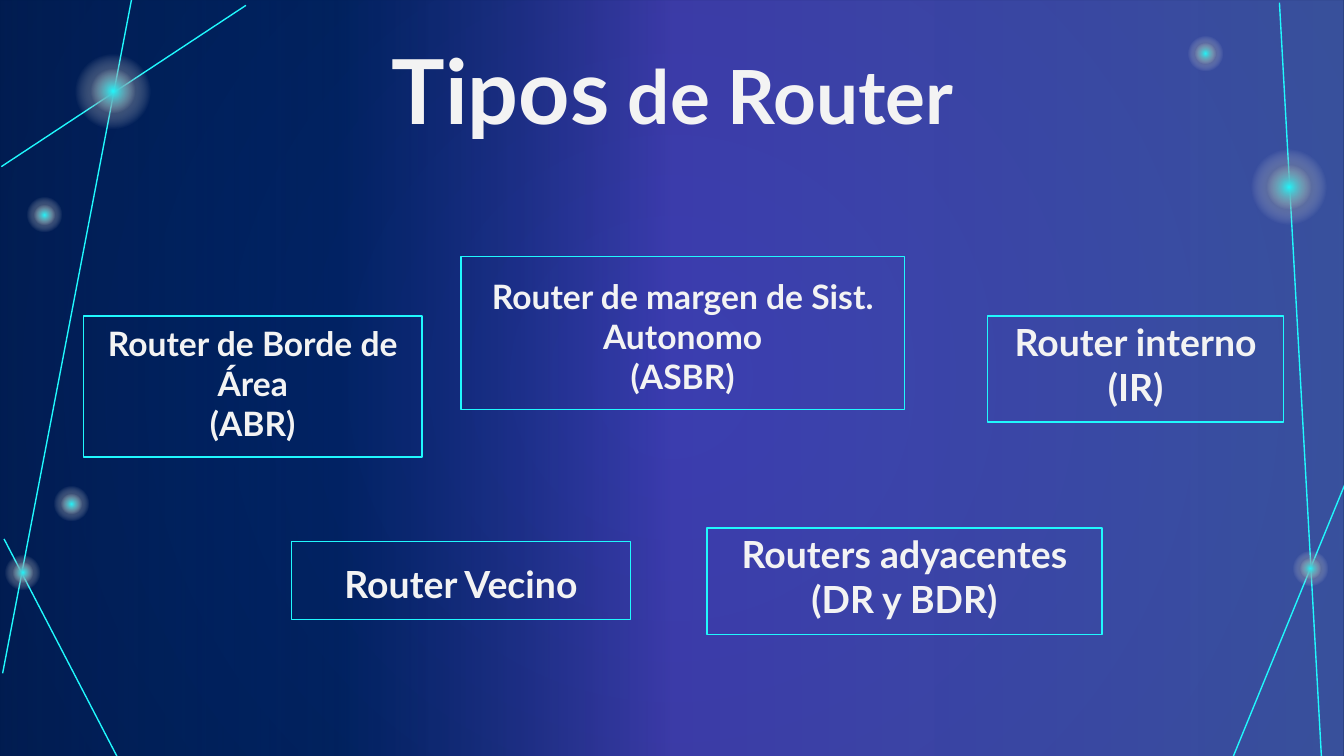
from dataclasses import dataclass

from lxml import etree
from pptx import Presentation
from pptx.dml.color import RGBColor
from pptx.enum.shapes import MSO_CONNECTOR, MSO_SHAPE
from pptx.enum.text import MSO_ANCHOR, PP_ALIGN
from pptx.oxml import parse_xml
from pptx.oxml.ns import qn
from pptx.util import Inches, Pt

RECTANGLE, OVAL = MSO_SHAPE.RECTANGLE, MSO_SHAPE.OVAL
STRAIGHT = MSO_CONNECTOR.STRAIGHT
TOP, BOTTOM = MSO_ANCHOR.TOP, MSO_ANCHOR.BOTTOM
CENTER = PP_ALIGN.CENTER
DRAWING_NS = "http://schemas.openxmlformats.org/drawingml/2006/main"


@dataclass(frozen=True)
class Theme:
    font: str = "Lato"
    light: str = "F3F3F3"
    cyan: str = "20F8FD"
    navy: str = "012060"
    night: str = "00183A"
    blue: str = "022E88"
    violet: str = "7659FF"
    periwinkle: str = "748BFF"
    title_size: int = 48
    subtitle_size: int = 40
    large_size: int = 20
    small_size: int = 18
    line_width: float = 0.75


theme = Theme()


def set_gradient(fill, properties, stops, radial=False):
    """Replace a fill by stops of (position %, colour, opacity %)."""
    fill.solid()
    stop_xml = "".join(
        f'<a:gs pos="{position * 1000}"><a:srgbClr val="{color}">'
        f'<a:alpha val="{opacity * 1000}"/></a:srgbClr></a:gs>'
        for position, color, opacity in stops
    )
    direction = (
        '<a:path path="circle"><a:fillToRect l="50000" t="50000" r="50000" b="50000"/></a:path>'
        if radial
        else '<a:lin ang="0" scaled="0"/>'
    )
    gradient = parse_xml(
        f'<a:gradFill xmlns:a="{DRAWING_NS}" rotWithShape="1">'
        f"<a:gsLst>{stop_xml}</a:gsLst>{direction}</a:gradFill>"
    )
    properties.replace(properties.find(qn("a:solidFill")), gradient)


def write_text(shape, runs, anchor):
    """Fill a shape with centred runs of (text, size); a newline is a line break."""
    frame = shape.text_frame
    frame.word_wrap = True
    frame.vertical_anchor = anchor
    frame.margin_left = frame.margin_right = Inches(0.1)
    frame.margin_top = frame.margin_bottom = Inches(0.1)
    paragraph = frame.paragraphs[0]
    paragraph.alignment = CENTER
    for text, size in runs:
        for index, line in enumerate(text.split("\n")):
            if index:
                paragraph.add_line_break()
            run = paragraph.add_run()
            run.text = line
            run.font.name = theme.font
            run.font.size = Pt(size)
            run.font.bold = True
            run.font.color.rgb = RGBColor.from_string(theme.light)


# A 16:9 slide
presentation = Presentation()
presentation.slide_width = Inches(10)
presentation.slide_height = Inches(10 * 9 / 16)
slide = presentation.slides.add_slide(presentation.slide_layouts[6])
shapes = slide.shapes

# Background and colour wash
background_fill = slide.background.fill
background_fill.solid()
set_gradient(
    background_fill,
    slide.element.find(".//" + qn("p:bgPr")),
    [(0, theme.navy, 100), (100, theme.night, 100)],
    radial=True,
)
wash = shapes.add_shape(
    RECTANGLE, 0, 0, presentation.slide_width, presentation.slide_height
)
wash.shadow.inherit = False
wash.line.fill.background()
set_gradient(
    wash.fill,
    wash.element.spPr,
    [
        (0, theme.navy, 60),
        (25, theme.blue, 35),
        (50, theme.violet, 50),
        (100, theme.periwinkle, 49),
    ],
)

# Network lines
network_lines = [
    (10.07, 3.45, 9.11, 5.79),
    (9.52, 0.02, 9.84, 5.77),
    (1.83, 0.04, 0.01, 1.24),
    (0.96, 5.8, 0.03, 4.01),
    (0.98, -0.01, 0.02, 5.01),
]
for ends in network_lines:
    connector = shapes.add_connector(STRAIGHT, *map(Inches, ends))
    connector.line.color.rgb = RGBColor.from_string(theme.cyan)
    connector.line.width = Pt(theme.line_width)
    etree.SubElement(connector.element.spPr, qn("a:effectLst"))

# Glowing nodes: a halo with a bright core on the same centre
large_node, small_node = (0.79, 0.47), (0.37, 0.22)
nodes = [
    (9.59, 1.39, large_node),
    (0.84, 0.68, large_node),
    (9.75, 4.23, small_node),
    (0.17, 4.26, small_node),
    (0.53, 3.75, small_node),
    (0.33, 1.6, small_node),
    (8.97, 0.4, small_node),
]
for center_x, center_y, diameters in nodes:
    for diameter, color in zip(diameters, (theme.night, theme.cyan)):
        glow = shapes.add_shape(
            OVAL,
            Inches(center_x - diameter / 2),
            Inches(center_y - diameter / 2),
            Inches(diameter),
            Inches(diameter),
        )
        glow.shadow.inherit = False
        glow.line.fill.background()
        set_gradient(
            glow.fill,
            glow.element.spPr,
            [(0, color, 100), (50, theme.light, 0), (100, theme.light, 0)],
            radial=True,
        )

# Router types
router_boxes = [
    (0.62, 2.35, 2.52, 1.05, "Router de Borde de Área\n(ABR)", theme.small_size),
    (3.43, 1.91, 3.3, 1.14, "Router de margen de Sist. Autonomo\n(ASBR)", theme.small_size),
    (2.17, 4.03, 2.52, 0.58, "Router Vecino", theme.large_size),
    (5.26, 3.93, 2.94, 0.79, "Routers adyacentes\n(DR y BDR)", theme.large_size),
    (7.35, 2.35, 2.2, 0.79, "Router interno\n(IR)", theme.large_size),
]
for *bounds, label, size in router_boxes:
    box = shapes.add_shape(RECTANGLE, *map(Inches, bounds))
    box.shadow.inherit = False
    box.fill.background()
    box.line.color.rgb = RGBColor.from_string(theme.cyan)
    box.line.width = Pt(theme.line_width)
    write_text(box, [(label, size)], BOTTOM)

# Title
title = shapes.add_textbox(Inches(0.79), Inches(0.16), Inches(8.43), Inches(0.69))
write_text(
    title, [("Tipos", theme.title_size), (" de Router", theme.subtitle_size)], TOP
)

presentation.save("out.pptx")
